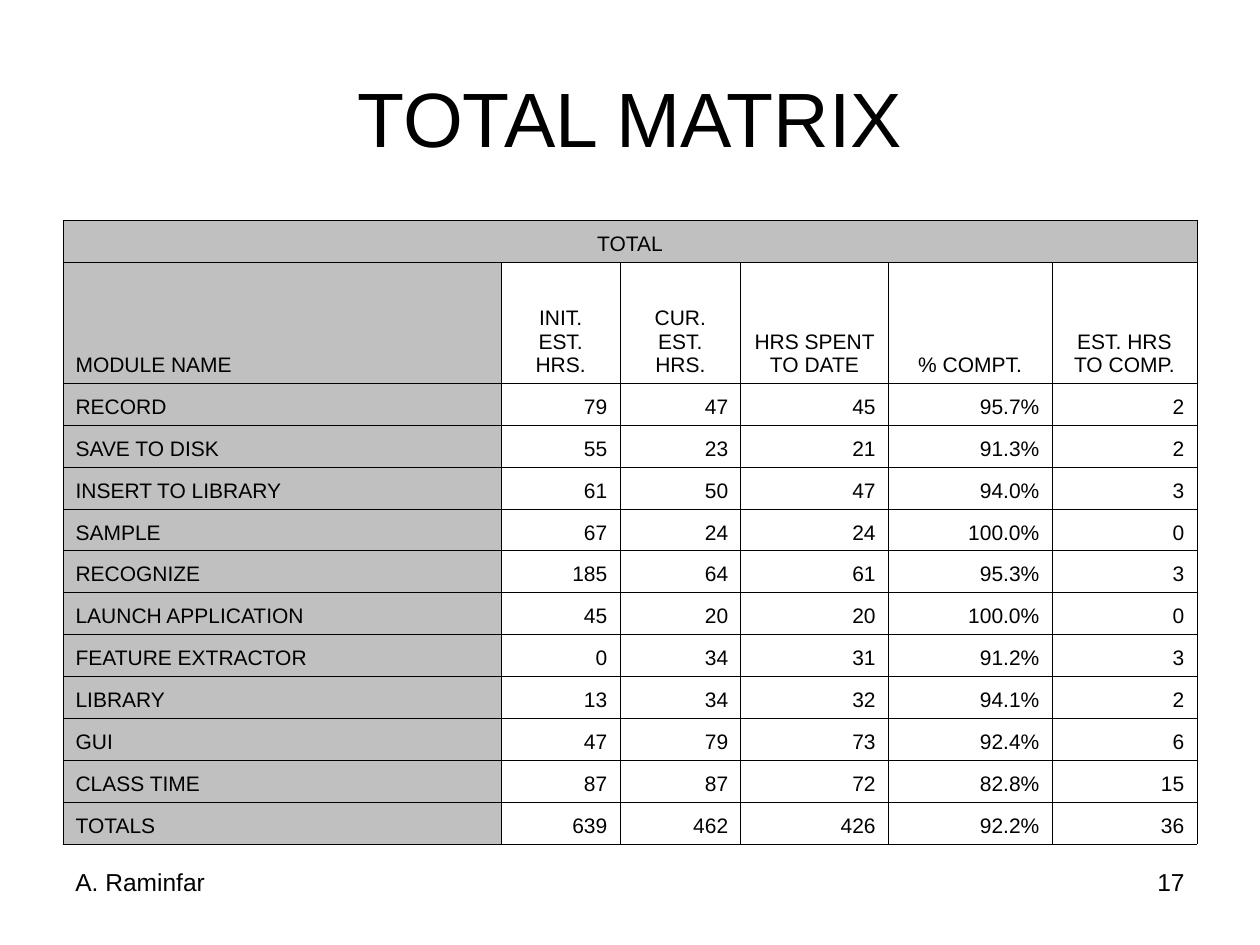
"""Build the total matrix slide with its table of hours per module."""
from lxml.etree import SubElement
from pptx import Presentation
from pptx.dml.color import RGBColor
from pptx.enum.text import MSO_ANCHOR, PP_ALIGN
from pptx.oxml.ns import qn
from pptx.util import Inches, Pt

TITLE = "TOTAL MATRIX"
TABLE_TITLE = "TOTAL"
HEADERS = ["MODULE NAME", "INIT. EST. HRS.", "CUR. EST. HRS.",
           "HRS SPENT TO DATE", "% COMPT.", "EST. HRS TO COMP."]
MODULES = [
    ("RECORD", "79", "47", "45", "95.7%", "2"),
    ("SAVE TO DISK", "55", "23", "21", "91.3%", "2"),
    ("INSERT TO LIBRARY", "61", "50", "47", "94.0%", "3"),
    ("SAMPLE", "67", "24", "24", "100.0%", "0"),
    ("RECOGNIZE", "185", "64", "61", "95.3%", "3"),
    ("LAUNCH APPLICATION", "45", "20", "20", "100.0%", "0"),
    ("FEATURE EXTRACTOR", "0", "34", "31", "91.2%", "3"),
    ("LIBRARY", "13", "34", "32", "94.1%", "2"),
    ("GUI", "47", "79", "73", "92.4%", "6"),
    ("CLASS TIME", "87", "87", "72", "82.8%", "15"),
    ("TOTALS", "639", "462", "426", "92.2%", "36"),
]
FOOTERS = [("A. Raminfar", 0.5, PP_ALIGN.LEFT), ("17", 7.17, PP_ALIGN.RIGHT)]

COLUMN_WIDTHS = [3.48, 0.94, 0.96, 1.17, 1.3, 1.15]
TABLE_TOP, TABLE_HEIGHT, HEADER_HEIGHT = 1.75, 4.95, 0.96
MARGIN, CONTENT_WIDTH = 0.5, 9
FONT, BLACK, GRAY = "Arial", "000000", "C0C0C0"


def color(hex_value):
    return RGBColor.from_string(hex_value)


def write(text_frame, text, size, alignment):
    paragraph = text_frame.paragraphs[0]
    paragraph.alignment = alignment
    run = paragraph.add_run()
    run.text = text
    run.font.name = FONT
    run.font.size = Pt(size)
    run.font.color.rgb = color(BLACK)


def add_borders(cell):
    properties = cell._tc.get_or_add_tcPr()
    for side in ("a:lnL", "a:lnR", "a:lnT", "a:lnB"):
        line = SubElement(properties, qn(side), w=str(Pt(0.45)))
        fill = SubElement(line, qn("a:solidFill"))
        SubElement(fill, qn("a:srgbClr"), val=BLACK)


def cell_alignment(row, column):
    if row == 0:
        return PP_ALIGN.CENTER
    if column == 0:
        return PP_ALIGN.LEFT
    return PP_ALIGN.CENTER if row == 1 else PP_ALIGN.RIGHT


def add_title(slide):
    title = slide.shapes.title
    title.left, title.top = Inches(MARGIN), Inches(0.3)
    title.width, title.height = Inches(CONTENT_WIDTH), Inches(1.25)
    title.text_frame.vertical_anchor = MSO_ANCHOR.MIDDLE
    write(title.text_frame, TITLE, 44, PP_ALIGN.CENTER)


def add_matrix(slide):
    rows = [[TABLE_TITLE], HEADERS, *MODULES]
    frame = slide.shapes.add_table(
        len(rows), len(HEADERS), Inches(MARGIN), Inches(TABLE_TOP),
        Inches(CONTENT_WIDTH), Inches(TABLE_HEIGHT))
    table = frame.table
    table.first_row = table.horz_banding = False
    for column, width in zip(table.columns, COLUMN_WIDTHS):
        column.width = Inches(width)
    row_height = (TABLE_HEIGHT - HEADER_HEIGHT) / (len(rows) - 1)
    for index, row in enumerate(table.rows):
        row.height = Inches(HEADER_HEIGHT if index == 1 else row_height)
        for position, cell in enumerate(row.cells):
            add_borders(cell)
            if index == 0 or position == 0:
                cell.fill.solid()
                cell.fill.fore_color.rgb = color(GRAY)
            else:
                cell.fill.background()
        for position, text in enumerate(rows[index]):
            cell = table.cell(index, position)
            cell.vertical_anchor = MSO_ANCHOR.BOTTOM
            write(cell.text_frame, text, 12, cell_alignment(index, position))
    table.cell(0, 0).merge(table.cell(0, len(HEADERS) - 1))


def add_footers(slide):
    for text, left, alignment in FOOTERS:
        box = slide.shapes.add_textbox(
            Inches(left), Inches(6.83), Inches(2.33), Inches(0.52))
        box.text_frame.word_wrap = True
        write(box.text_frame, text, 14, alignment)


def main():
    presentation = Presentation()
    presentation.slide_width, presentation.slide_height = Inches(10), Inches(7.5)
    slide = presentation.slides.add_slide(presentation.slide_layouts[5])
    add_title(slide)
    add_matrix(slide)
    add_footers(slide)
    presentation.save("out.pptx")


if __name__ == "__main__":
    main()
